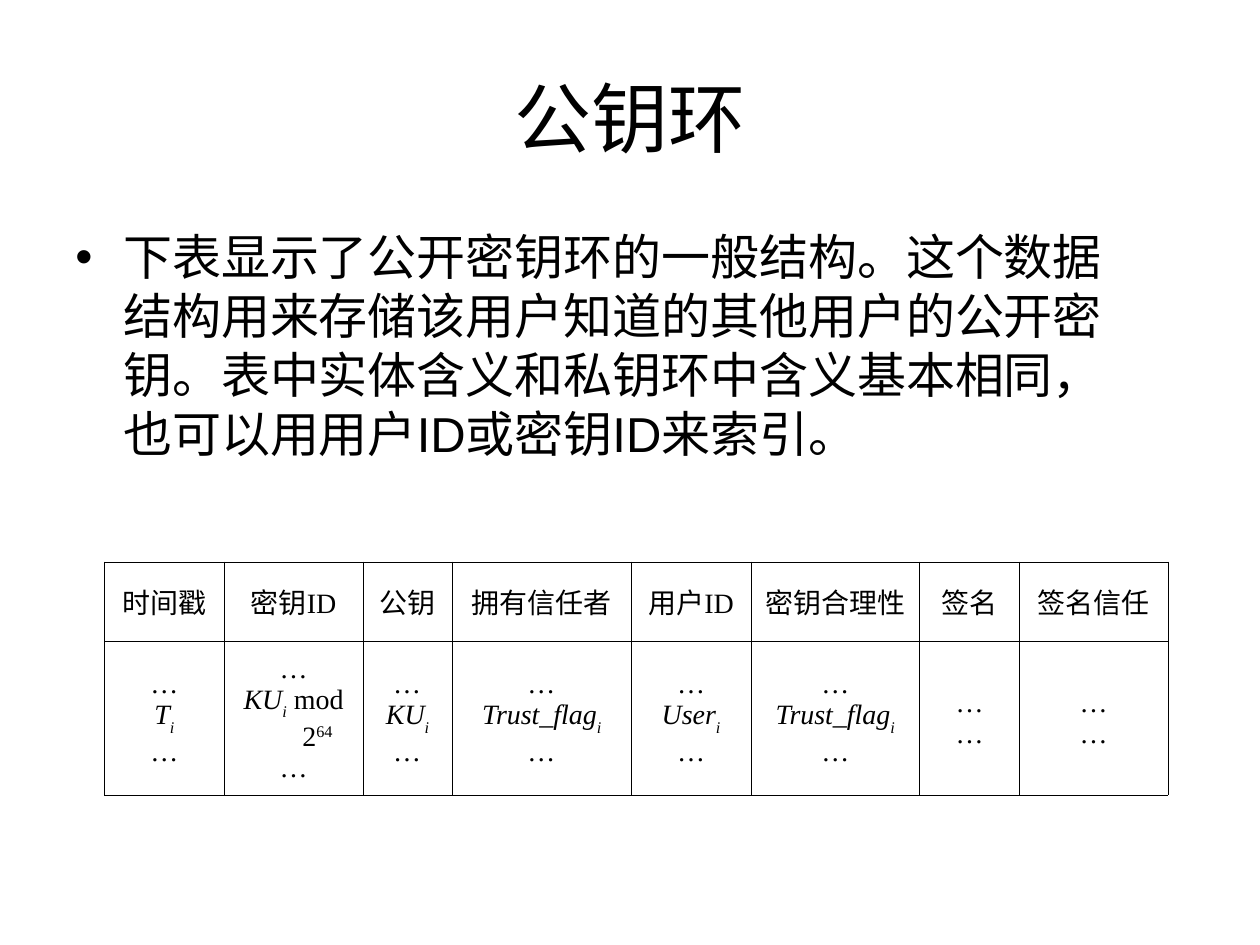
from lxml.etree import SubElement
from pptx import Presentation
from pptx.dml.color import RGBColor
from pptx.enum.text import MSO_ANCHOR, PP_ALIGN
from pptx.oxml.ns import qn
from pptx.util import Inches, Pt

BLACK = RGBColor(0x00, 0x00, 0x00)
WHITE = RGBColor(0xFF, 0xFF, 0xFF)
HANGING = Inches(0.38)


def style_paragraph(paragraph, name, size, hanging=False, bullet=None):
    if hanging:
        properties = paragraph._p.get_or_add_pPr()
        properties.set("marL", str(HANGING))
        properties.set("indent", str(-HANGING))
        if bullet:
            SubElement(properties, qn("a:buFont"), typeface="Arial")
            SubElement(properties, qn("a:buChar"), char=bullet)
    paragraph.font.name = name
    paragraph.font.size = Pt(size)
    paragraph.font.color.rgb = BLACK


def add_border(cell):
    properties = cell._tc.get_or_add_tcPr()
    for position, side in enumerate(("lnL", "lnR", "lnT", "lnB")):
        line = SubElement(properties, qn(f"a:{side}"), w=str(Pt(0.45)))
        fill = SubElement(line, qn("a:solidFill"))
        SubElement(fill, qn("a:srgbClr"), val=str(BLACK))
        properties.remove(line)
        properties.insert(position, line)


presentation = Presentation()
presentation.slide_width = Inches(10)
presentation.slide_height = Inches(7.5)
slide = presentation.slides.add_slide(presentation.slide_layouts[5])
slide.background.fill.solid()
slide.background.fill.fore_color.rgb = WHITE

# Title
title = slide.shapes.title
title.left, title.top = Inches(0.5), Inches(0.3)
title.width, title.height = Inches(9), Inches(1.25)
title.text_frame.text = "公钥环"
title.text_frame.vertical_anchor = MSO_ANCHOR.MIDDLE
title.text_frame.paragraphs[0].alignment = PP_ALIGN.CENTER
style_paragraph(title.text_frame.paragraphs[0], "Arial", 44)

# Explanation
body = slide.shapes.add_textbox(Inches(0.5), Inches(1.75), Inches(8.43), Inches(4.95))
body.text_frame.word_wrap = True
body.text_frame.text = (
    "下表显示了公开密钥环的一般结构。这个数据结构用来存储该用户知道的其他用户的公开密钥。"
    "表中实体含义和私钥环中含义基本相同，也可以用用户ID或密钥ID来索引。"
)
style_paragraph(body.text_frame.paragraphs[0], "Arial", 28, hanging=True, bullet="•")

# Key ring table: heading, column width, symbol, text after the index, exponent
columns = [
    ("时间戳", 0.95, "T", "", ""),
    ("密钥ID", 1.1, "KU", " mod 2", "64"),
    ("公钥", 0.71, "KU", "", ""),
    ("拥有信任者", 1.42, "Trust_flag", "", ""),
    ("用户ID", 0.95, "User", "", ""),
    ("密钥合理性", 1.34, "Trust_flag", "", ""),
    ("签名", 0.79, "", "", ""),
    ("签名信任", 1.18, "", "", ""),
]
ITALIC_ELLIPSIS_COLUMNS = (2, 3)
table = slide.shapes.add_table(
    2, len(columns), Inches(0.83), Inches(4.46), Inches(8.43), Inches(1.85)
).table
table.first_row = False
table.horz_banding = False
table.rows[0].height = Inches(0.63)
table.rows[1].height = Inches(1.22)

for index, (heading, width, symbol, suffix, exponent) in enumerate(columns):
    table.columns[index].width = Inches(width)
    header, entry = table.cell(0, index), table.cell(1, index)
    header.text = heading
    entry.text = "…\n\n…" if symbol else "…\n…"

    for cell in (header, entry):
        cell.vertical_anchor = MSO_ANCHOR.MIDDLE
        cell.fill.background()
        add_border(cell)
        for paragraph in cell.text_frame.paragraphs:
            paragraph.alignment = PP_ALIGN.CENTER
            style_paragraph(paragraph, "Times New Roman", 16, hanging=True)

    if index in ITALIC_ELLIPSIS_COLUMNS:
        for paragraph in entry.text_frame.paragraphs:
            paragraph.font.italic = True

    # Symbol with its subscript index, and any superscript exponent
    if symbol:
        formula = entry.text_frame.paragraphs[1]
        parts = [(symbol, True, 0), ("i", True, -30000),
                 (suffix, False, 0), (exponent, False, 30000)]
        for text, italic, baseline in parts:
            if text:
                run = formula.add_run()
                run.text = text
                run.font.italic = italic
                if baseline:
                    run.font._element.set("baseline", str(baseline))

presentation.save("out.pptx")
